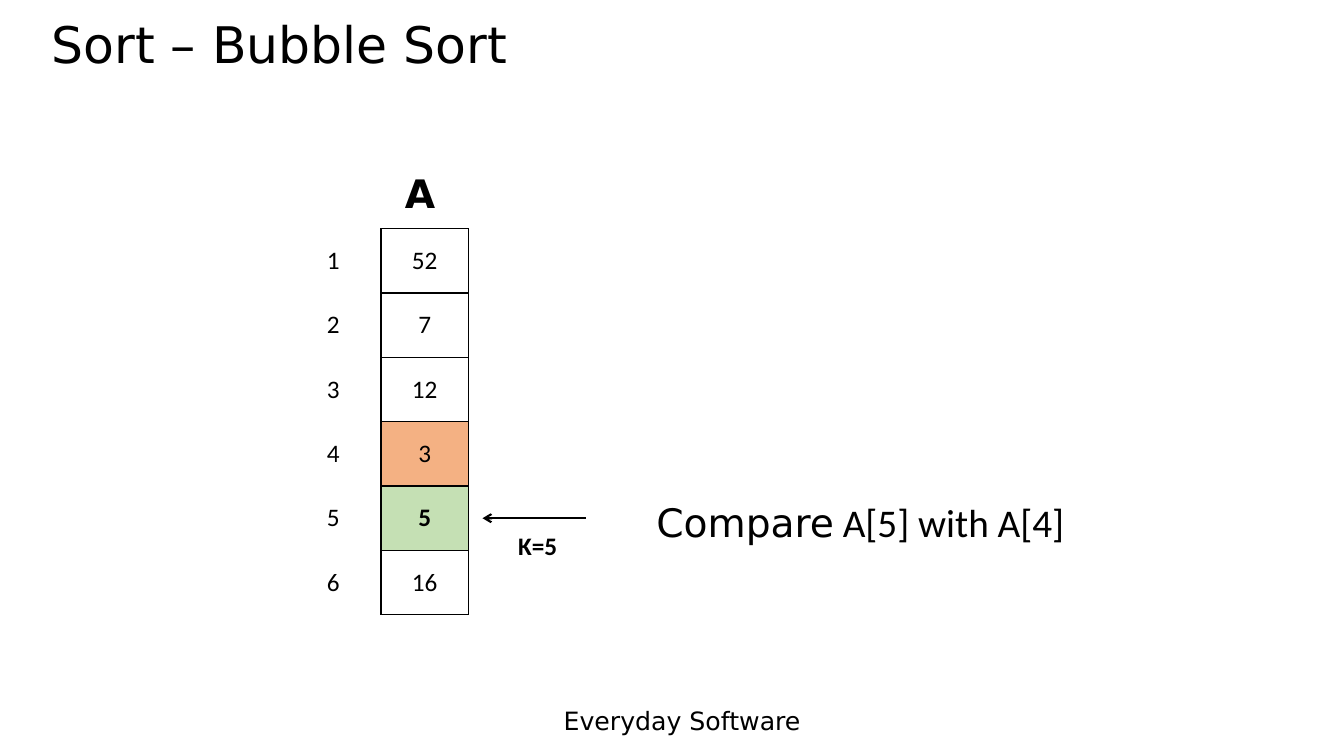
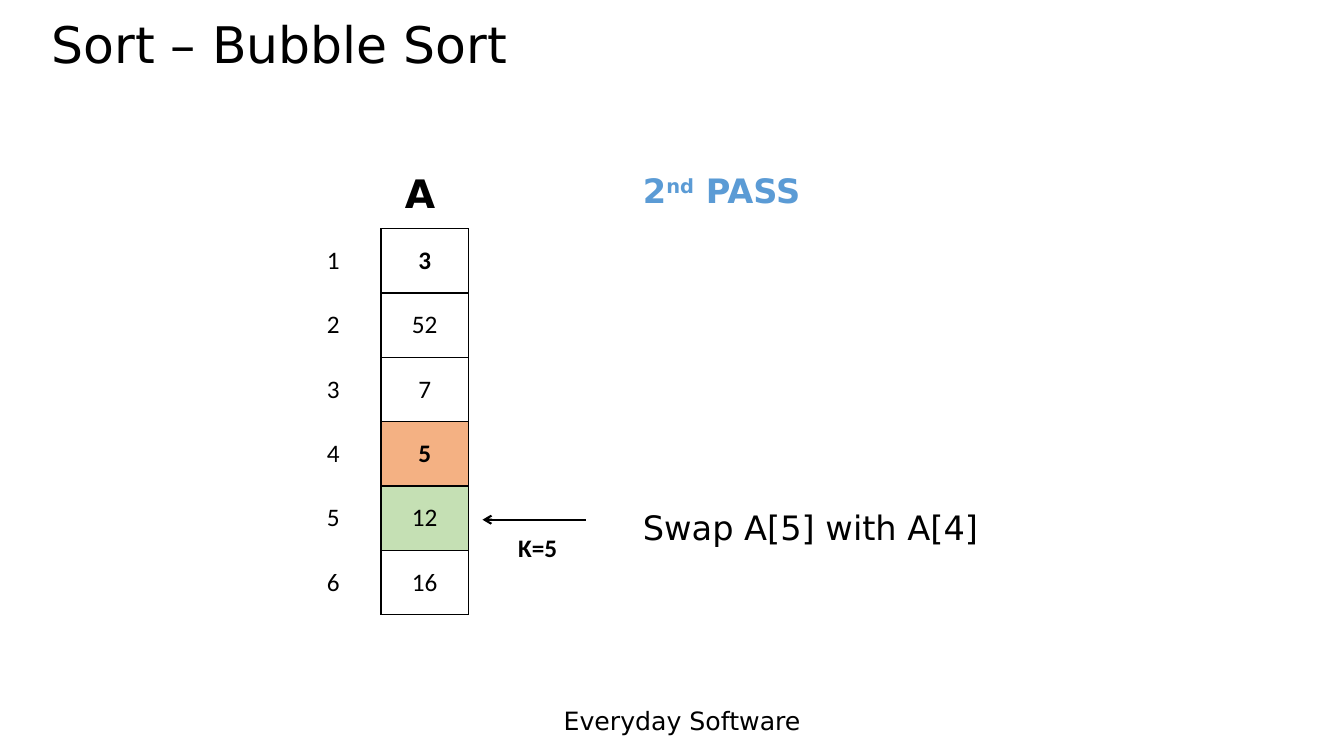
import pptx
import pptx.util
import pptx.dml.color
import pptx.enum.shapes
import pptx.enum.text
import pptx.oxml

MAIN_FONT = "DejaVu Sans"
DATA_FONT = "Calibri"
BLACK = "000000"
ORANGE = "F4B183"
GREEN = "C5E0B4"
BLUE = "5B9BD5"
DRAWING_NS = 'xmlns:a="http://schemas.openxmlformats.org/drawingml/2006/main"'
LEFT = pptx.enum.text.PP_ALIGN.LEFT
CENTER = pptx.enum.text.PP_ALIGN.CENTER
ARRAY_LEFT, ARRAY_TOP, ROW_HEIGHT = 28.35, 30.25, 8.51


def color(code):
    return pptx.dml.color.RGBColor.from_string(code)


class Deck:
    """Holds the shared style and the current slide; lengths are percentages of the slide."""

    def __init__(self):
        self.presentation = pptx.Presentation()
        self.presentation.slide_width = pptx.util.Inches(13.33)
        self.presentation.slide_height = pptx.util.Inches(7.5)
        self.layout = self.presentation.slide_layouts[5]
        self.slide = None

    def x(self, share):
        return round(self.presentation.slide_width * share / 100)

    def y(self, share):
        return round(self.presentation.slide_height * share / 100)

    def box(self, left, top, width, height):
        return self.x(left), self.y(top), self.x(width), self.y(height)

    def new_slide(self, heading):
        is_first = self.slide is None
        self.slide = self.presentation.slides.add_slide(self.layout)
        if is_first:
            footer = self.text((41.2, 92.65, 21.75, 5.35), [("Everyday Software", {})])
            self.layout.shapes.element.append(footer.element)
        title = self.slide.shapes.title
        title.left, title.top, title.width, title.height = self.box(3.1, 2, 90.1, 12.7)
        self.fill_frame(title.text_frame, [(heading, {"size": 36})])
        title.text_frame.paragraphs[0].line_spacing = 0.9

    def fill_frame(self, frame, runs, align=LEFT):
        frame.word_wrap = True
        frame.auto_size = pptx.enum.text.MSO_AUTO_SIZE.NONE
        frame.vertical_anchor = pptx.enum.text.MSO_ANCHOR.TOP
        self.fill_paragraph(frame.paragraphs[0], runs, align)

    def fill_paragraph(self, paragraph, runs, align):
        paragraph.alignment = align
        for words, style in runs:
            run = paragraph.add_run()
            run.text = words
            run.font.name = style.get("font", MAIN_FONT)
            run.font.size = pptx.util.Pt(style.get("size", 18))
            run.font.bold = style.get("bold", False)
            run.font.color.rgb = color(style.get("color", BLACK))
            if "raised" in style:
                run._r.get_or_add_rPr().set("baseline", str(style["raised"] * 1000))

    def text(self, place, runs, align=LEFT):
        shape = self.slide.shapes.add_textbox(*self.box(*place))
        self.fill_frame(shape.text_frame, runs, align)
        return shape

    def column(self, left, width, values, bold=(), fills=None, bordered=False):
        place = self.box(left, ARRAY_TOP, width, ROW_HEIGHT * len(values))
        table = self.slide.shapes.add_table(len(values), 1, *place).table
        table.first_row = table.horz_banding = False
        for number, value in enumerate(values, 1):
            table.rows[number - 1].height = self.y(ROW_HEIGHT)
            cell = table.cell(number - 1, 0)
            cell.vertical_anchor = pptx.enum.text.MSO_ANCHOR.MIDDLE
            style = {"font": DATA_FONT, "bold": value in bold}
            self.fill_paragraph(cell.text_frame.paragraphs[0], [(str(value), style)], CENTER)
            if bordered:
                self.border(cell)
            if fills and number in fills:
                cell.fill.solid()
                cell.fill.fore_color.rgb = color(fills[number])
            else:
                cell.fill.background()

    def border(self, cell):
        properties = cell._tc.get_or_add_tcPr()
        for side in ("lnL", "lnR", "lnT", "lnB"):
            properties.append(pptx.oxml.parse_xml(
                f'<a:{side} {DRAWING_NS} w="{pptx.util.Pt(1)}"><a:solidFill>'
                f'<a:srgbClr val="{BLACK}"/></a:solidFill></a:{side}>'))

    def arrow(self, start, end, level):
        pointer = self.slide.shapes.add_connector(
            pptx.enum.shapes.MSO_CONNECTOR.STRAIGHT,
            self.x(start), self.y(level), self.x(end), self.y(level))
        pointer.line.color.rgb = color(BLACK)
        pointer.line.width = pptx.util.Pt(1.5)
        pointer.line._get_or_add_ln().append(
            pptx.oxml.parse_xml(f'<a:tailEnd {DRAWING_NS} type="arrow"/>'))
        pointer._element.spPr.append(pptx.oxml.parse_xml(f'<a:effectLst {DRAWING_NS}/>'))

    def sort_step(self, values, bold, level):
        self.new_slide("Sort – Bubble Sort")
        self.column(ARRAY_LEFT, 6.5, values, bold, {4: ORANGE, 5: GREEN}, bordered=True)
        self.column(23.05, 3.5, range(1, len(values) + 1))
        self.arrow(43.6, 35.9, level)
        self.text((35.9, level + 1, 8.2, 5.35),
                  [("Κ=5", {"font": DATA_FONT, "bold": True})], CENTER)
        self.text((26.55, 21.75, 9.4, 7.6), [("A", {"size": 28, "bold": True})], CENTER)


def main():
    deck = Deck()
    deck.sort_step([52, 7, 12, 3, 5, 16], {5}, 68.55)
    deck.text((48.1, 65.3, 38.7, 13.9), [
        ("Compare", {"size": 28}),
        (" A[5] with A[4]", {"size": 28, "font": DATA_FONT})])

    deck.sort_step([3, 52, 7, 5, 12, 16], {3, 5}, 68.75)
    deck.text((47.1, 66.4, 39.7, 12.1), [("Swap A[5] with A[4]", {"size": 24})])
    pass_style = {"size": 24, "bold": True, "color": BLUE}
    deck.text((47.1, 21.85, 38.7, 6.7), [
        ("2", pass_style), ("nd", {**pass_style, "raised": 30}), (" PASS", pass_style)])
    deck.presentation.save("out.pptx")


if __name__ == "__main__":
    main()
